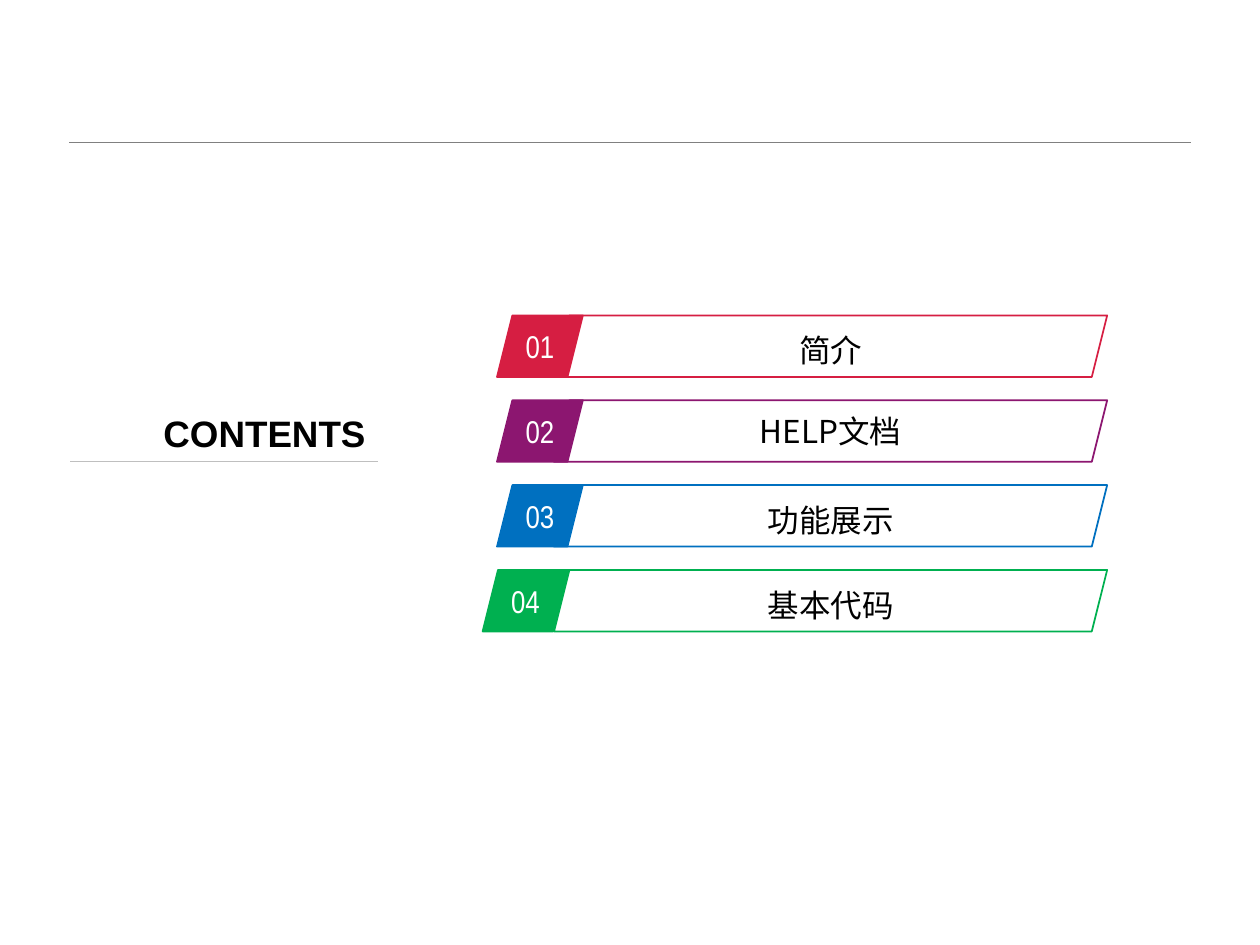
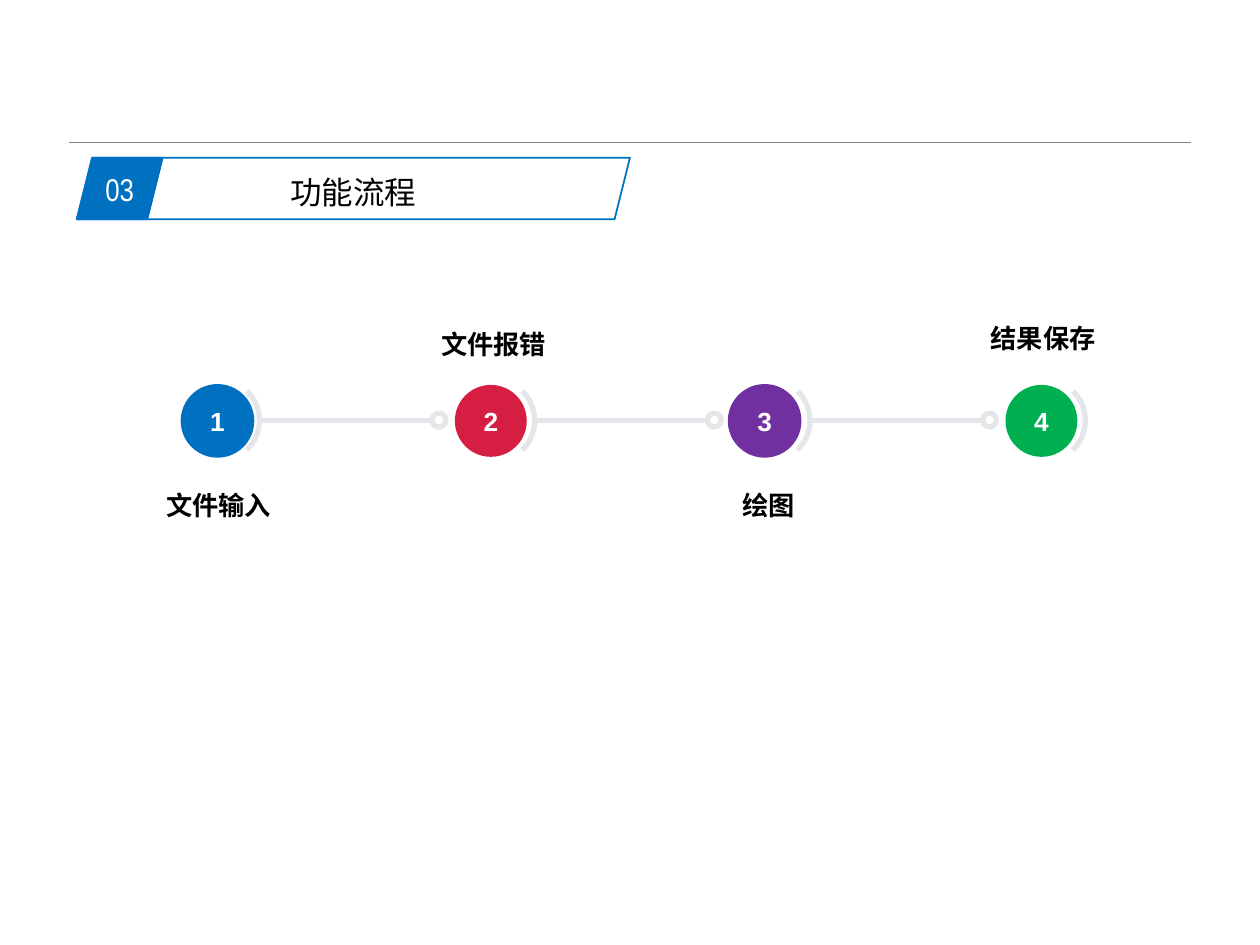
from lxml import etree
from pptx import Presentation
from pptx.dml.color import RGBColor
from pptx.enum.shapes import MSO_CONNECTOR, MSO_SHAPE
from pptx.enum.text import MSO_ANCHOR, PP_ALIGN
from pptx.oxml.ns import qn
from pptx.util import Cm, Pt

STRAIGHT = MSO_CONNECTOR.STRAIGHT
SLANTED = MSO_SHAPE.PARALLELOGRAM
OVAL = MSO_SHAPE.OVAL
ARC = MSO_SHAPE.ARC
MIDDLE, BOTTOM = MSO_ANCHOR.MIDDLE, MSO_ANCHOR.BOTTOM
CENTER, RIGHT = PP_ALIGN.CENTER, PP_ALIGN.RIGHT

BLACK = RGBColor(0x00, 0x00, 0x00)
WHITE = RGBColor(0xFF, 0xFF, 0xFF)
RED = RGBColor(0xD6, 0x1E, 0x42)
PLUM = RGBColor(0x8C, 0x16, 0x70)
BLUE = RGBColor(0x00, 0x70, 0xC0)
GREEN = RGBColor(0x00, 0xB0, 0x50)
PURPLE = RGBColor(0x70, 0x30, 0xA0)
RULE_GRAY = RGBColor(0x80, 0x80, 0x80)
UNDERLINE_GRAY = RGBColor(0xBF, 0xBF, 0xBF)
TRACK_GRAY = RGBColor(0xE4, 0xE6, 0xEA)

SANS = "Arial"
NARROW = "Arial Narrow"
CHINESE = "Noto Sans CJK SC"


def add_figure(page, kind, left, top, width, height, fill=None, line=None, weight=1):
    shape = page.shapes.add_shape(kind, Cm(left), Cm(top), Cm(width), Cm(height))
    shape.shadow.inherit = False
    if fill is None:
        shape.fill.background()
    else:
        shape.fill.solid()
        shape.fill.fore_color.rgb = fill
    if line is None:
        shape.line.fill.background()
    else:
        shape.line.color.rgb = line
        shape.line.width = Pt(weight)
    return shape


def write(shape, text, size, font, color, bold=False, wrap=True, anchor=MIDDLE, align=CENTER):
    frame = shape.text_frame
    frame.text = text
    frame.word_wrap = wrap
    frame.vertical_anchor = anchor
    frame.margin_left = frame.margin_right = Cm(0.18)
    frame.margin_top = frame.margin_bottom = Cm(0.1)
    para = frame.paragraphs[0]
    para.alignment = align
    span = para.runs[0]
    span.font.name = font
    span.font.size = Pt(size)
    span.font.bold = bold
    span.font.color.rgb = color
    east_asian = etree.SubElement(span.font._element, qn("a:ea"))
    east_asian.set("typeface", CHINESE)
    return frame


deck = Presentation()
deck.slide_width, deck.slide_height = Cm(25.4), Cm(19.05)
blank = deck.slide_layouts[6]
contents_page = deck.slides.add_slide(blank)
process_page = deck.slides.add_slide(blank)

STEP_PITCH = 5.55
TRACK_Y = 8.48

lines = [(page, 1.4, 24, 2.86, RULE_GRAY, 0.25) for page in (contents_page, process_page)]
lines.append((contents_page, 1.42, 7.63, 9.31, UNDERLINE_GRAY, 0.75))
for gap in range(3):
    offset = gap * STEP_PITCH
    lines.append((process_page, 5.26 + offset, 8.71 + offset, TRACK_Y, TRACK_GRAY, 3))

for page, start, end, height, color, weight in lines:
    connector = page.shapes.add_connector(STRAIGHT, Cm(start), Cm(height), Cm(end), Cm(height))
    connector.line.color.rgb = color
    connector.line.width = Pt(weight)
    etree.SubElement(connector._element.spPr, qn("a:effectLst"))

ROW_TOP, ROW_PITCH = 6.36, 1.71
headings = [
    (contents_page, "01", "简介", RED, 10.02, 11.17, ROW_TOP, 1.2),
    (contents_page, "02", "HELP文档", PLUM, 10.02, 11.17, ROW_TOP + ROW_PITCH, 1),
    (contents_page, "03", "功能展示", BLUE, 10.02, 11.17, ROW_TOP + 2 * ROW_PITCH, 1.2),
    (contents_page, "04", "基本代码", GREEN, 9.73, 11.17, ROW_TOP + 3 * ROW_PITCH, 1.2),
    (process_page, "03", "功能流程", BLUE, 1.55, 1.55, 3.18, 1.2),
]
for page, number, title, color, number_left, title_left, top, spacing in headings:
    tab = add_figure(page, SLANTED, number_left, top, 1.73, 1.24, color, color)
    write(tab, number, 18, NARROW, WHITE, wrap=False)
    bar = add_figure(page, SLANTED, title_left, top, 11.15, 1.24, line=color)
    frame = write(bar, title, 18, CHINESE, BLACK)
    frame.paragraphs[0].line_spacing = spacing

box = contents_page.shapes.add_textbox(Cm(2.62), Cm(7.21), Cm(5), Cm(2.08))
frame = write(box, "CONTENTS", 21, SANS, BLACK, True, True, BOTTOM, RIGHT)
frame.margin_left = frame.margin_right = Cm(0.25)
frame.margin_top = frame.margin_bottom = Cm(0.13)

steps = [
    ("文件输入", BLUE, BLUE, 3.66, 9.6),
    ("文件报错", RED, None, 9.17, 6.37),
    ("绘图", PURPLE, PURPLE, 14.69, 9.6),
    ("结果保存", GREEN, None, 20.27, 6.25),
]
for index, (label, color, outline, circle_left, label_top) in enumerate(steps):
    offset = index * STEP_PITCH
    arc = add_figure(process_page, ARC, 3.58 + offset, 7.65, 1.65, 1.65, line=TRACK_GRAY, weight=3)
    arc.rotation = 270
    arc.adjustments[0] = 26.57
    arc.adjustments[1] = 81.76
    if index:
        add_figure(process_page, OVAL, 3.16 + offset, 8.33, 0.28, 0.28, line=TRACK_GRAY, weight=3)
    circle = add_figure(process_page, OVAL, circle_left, 7.76, 1.45, 1.45, color, outline)
    write(circle, str(index + 1), 15, SANS, WHITE, True)
    box = process_page.shapes.add_textbox(Cm(1.44 + index * 5.54), Cm(label_top), Cm(5.94), Cm(0.99))
    write(box, label, 15, SANS, BLACK, True, anchor=BOTTOM)

deck.save("out.pptx")
